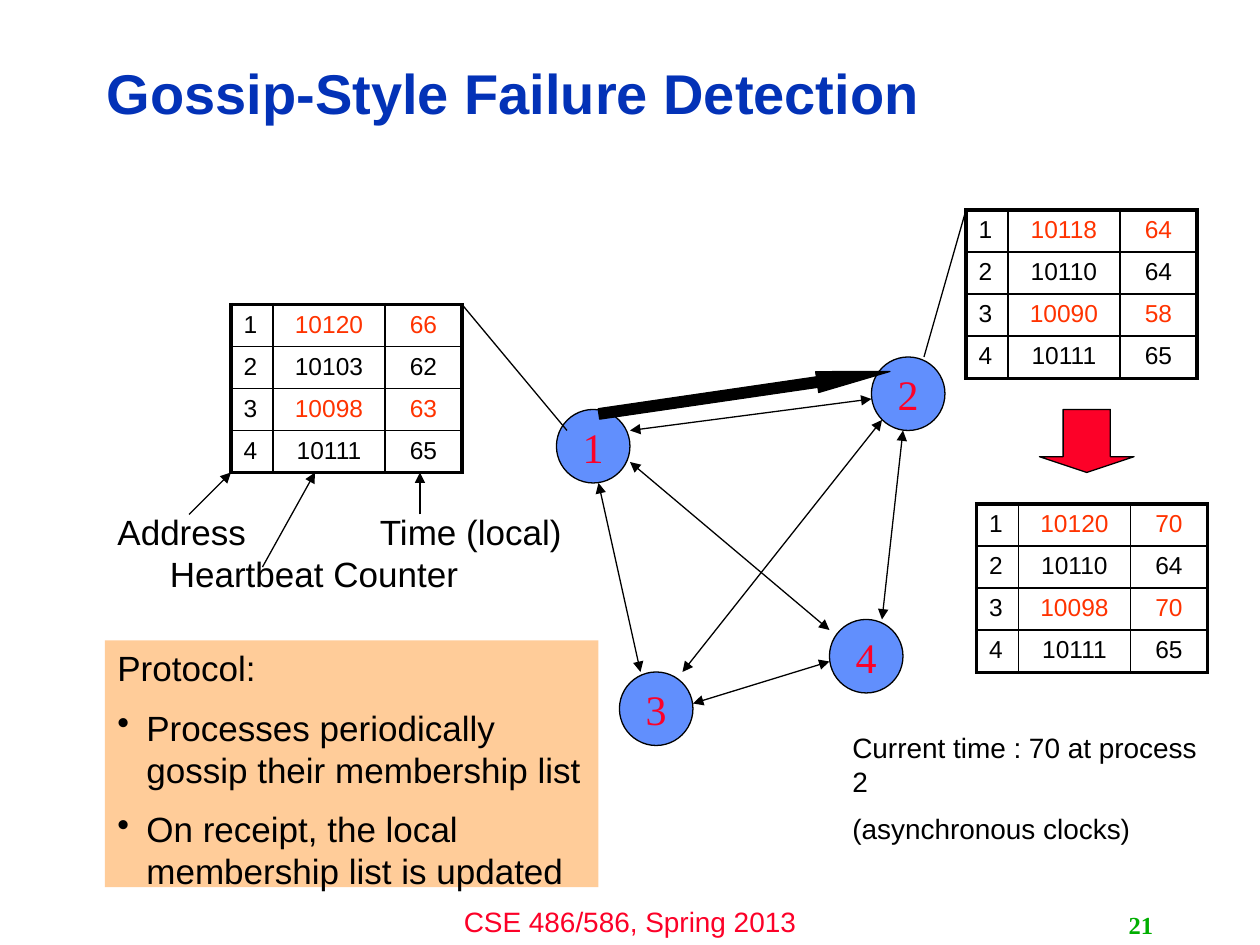
import pptx
import pptx.dml.color
import pptx.enum.shapes
import pptx.enum.text
import pptx.oxml
import pptx.oxml.ns
import pptx.util
import lxml.etree

RGBColor = pptx.dml.color.RGBColor
BLACK = RGBColor(0x00, 0x00, 0x00)
RED = RGBColor(0xFC, 0x01, 0x28)
ORANGE_RED = RGBColor(0xFF, 0x33, 0x00)
TITLE_BLUE = RGBColor(0x03, 0x32, 0xB7)
NODE_BLUE = RGBColor(0x61, 0x8F, 0xFD)
PEACH = RGBColor(0xFF, 0xCC, 0x99)
GREEN = RGBColor(0x00, 0xAE, 0x00)

SHAPES = pptx.enum.shapes.MSO_SHAPE
ALIGN = pptx.enum.text.PP_ALIGN
ANCHOR = pptx.enum.text.MSO_ANCHOR
SANS, SERIF = "Arial", "Times New Roman"

NODE_SIZE = 7
ROW_HEIGHT = 4
COLUMN_WIDTHS = (4, 10.67, 7.33)
NODES = {"1": (53, 39), "2": (83, 34), "4": (79, 59), "3": (59, 64)}
GOSSIP_LINKS = [
    ((60, 41), (83, 38)), ((57, 46), (61, 64)), ((66, 67), (79, 63)),
    ((84, 59), (86, 41)), ((65, 64), (84, 40)), ((79, 60), (60, 44)),
]
TABLE_LEADERS = [((54, 41), (44, 29)), ((88, 34), (92, 20))]
LABEL_POINTERS = [((18, 49), (22, 45)), ((25, 54), (30, 45)), ((40, 49), (40, 45))]
MEMBERSHIP_LISTS = [
    ((22, 29), [("10120", "66"), ("10103", "62"), ("10098", "63"), ("10111", "65")]),
    ((92, 20), [("10118", "64"), ("10110", "64"), ("10090", "58"), ("10111", "65")]),
    ((93, 48), [("10120", "70"), ("10110", "64"), ("10098", "70"), ("10111", "65")]),
]
COLUMN_LABELS = [
    ("Address", (10, 48, 16, 5.2)),
    ("Heartbeat Counter", (15, 52, 31, 5.2)),
    ("Time (local)", (35, 48, 21, 5.2)),
]


def grid(*steps):
    """Turn grid steps, twelve to the inch, into lengths."""
    return [pptx.util.Inches(step / 12) for step in steps]


def style(paragraph, size, color, font=SANS, bold=False, align=ALIGN.LEFT):
    """Set the font and alignment of a whole paragraph."""
    paragraph.alignment = align
    paragraph.font.name = font
    paragraph.font.size = pptx.util.Pt(size)
    paragraph.font.bold = bold
    paragraph.font.color.rgb = color


def write(frame, lines, size, color, anchor=ANCHOR.TOP, **look):
    """Fill a text frame, half a line's size apart between paragraphs."""
    frame.word_wrap = True
    frame.vertical_anchor = anchor
    for index, line in enumerate(lines):
        paragraph = frame.paragraphs[0] if index == 0 else frame.add_paragraph()
        paragraph.text = line
        style(paragraph, size, color, **look)
        if index:
            paragraph.space_before = pptx.util.Pt(size / 2)


def add_text(slide, box, lines, size, color, **look):
    """Add a text box and return its frame."""
    frame = slide.shapes.add_textbox(*grid(*box)).text_frame
    write(frame, lines, size, color, **look)
    return frame


def add_figure(slide, kind, box, fill, outlined=True):
    """Add a flat preset shape."""
    figure = slide.shapes.add_shape(kind, *grid(*box))
    figure.shadow.inherit = False
    figure.fill.solid()
    figure.fill.fore_color.rgb = fill
    if outlined:
        figure.line.color.rgb = BLACK
        figure.line.width = pptx.util.Pt(0.75)
    else:
        figure.line.fill.background()
    return figure


def add_line(slide, start, end, arrow_ends=()):
    """Add a thin line with triangles at the given ends."""
    line = slide.shapes.add_connector(
        pptx.enum.shapes.MSO_CONNECTOR.STRAIGHT, *grid(*start, *end))
    line.line.color.rgb = BLACK
    line.line.width = pptx.util.Pt(0.75)
    outline = line.line._get_or_add_ln()
    for arrow_end in arrow_ends:
        lxml.etree.SubElement(outline, pptx.oxml.ns.qn("a:" + arrow_end), type="triangle")
    lxml.etree.SubElement(line._element.spPr, pptx.oxml.ns.qn("a:effectLst"))


def add_node(slide, name, corner):
    """Add a numbered process circle."""
    node = add_figure(slide, SHAPES.OVAL, (*corner, NODE_SIZE, NODE_SIZE), NODE_BLUE)
    write(node.text_frame, [name], 24, RED, ANCHOR.MIDDLE, font=SERIF, align=ALIGN.CENTER)
    node.text_frame.word_wrap = False


def add_border(cell, side, points):
    """Draw one black cell border."""
    cell._tc.get_or_add_tcPr().append(pptx.oxml.parse_xml(
        f'<a:{side} {pptx.oxml.ns.nsdecls("a")} w="{int(points * 12700)}">'
        f'<a:solidFill><a:srgbClr val="{BLACK}"/></a:solidFill></a:{side}>'))


def add_membership_list(slide, corner, entries):
    """Add a list of address, heartbeat and time; odd addresses stand out."""
    last_row, last_column = len(entries) - 1, len(COLUMN_WIDTHS) - 1
    box = (*corner, sum(COLUMN_WIDTHS), ROW_HEIGHT * len(entries))
    table = slide.shapes.add_table(
        len(entries), len(COLUMN_WIDTHS), *grid(*box)).table
    table.first_row = table.horz_banding = False
    for column, width in zip(table.columns, grid(*COLUMN_WIDTHS)):
        column.width = width
    for r, entry in enumerate(entries):
        for c, value in enumerate((str(r + 1), *entry)):
            cell = table.cell(r, c)
            cell.text = value
            style(cell.text_frame.paragraphs[0], 14,
                  ORANGE_RED if c and r % 2 == 0 else BLACK,
                  align=ALIGN.CENTER if c else ALIGN.LEFT)
            outer = {"lnL": c == 0, "lnR": c == last_column,
                     "lnT": r == 0, "lnB": r == last_row}
            for side, is_outer in outer.items():
                add_border(cell, side, 2.25 if is_outer else 1)
            cell.fill.background()


def add_protocol(slide):
    """Add the protocol panel with its two bullets."""
    panel = add_figure(slide, SHAPES.RECTANGLE, (10, 61, 47, 23.5), PEACH, outlined=False)
    write(panel.text_frame, [
        "Protocol:",
        "Processes periodically gossip their membership list",
        "On receipt, the local membership list is updated",
    ], 20, BLACK)
    indent = pptx.util.Inches(0.23)
    for step in panel.text_frame.paragraphs[1:]:
        properties = step._p.get_or_add_pPr()
        properties.set("marL", str(indent))
        properties.set("indent", str(-indent))
        bullet = pptx.oxml.ns.qn("a:buChar")
        lxml.etree.SubElement(properties, bullet, char="•")
        properties.insert_element_before(properties.find(bullet), "a:defRPr")


def main():
    """Build the slide."""
    deck = pptx.Presentation()
    deck.slide_width, deck.slide_height = grid(120, 90)
    slide = deck.slides.add_slide(deck.slide_layouts[6])

    add_text(slide, (40, 85.6, 40, 4.4), ["CSE 486/586, Spring 2013"], 16, RED,
             align=ALIGN.CENTER)
    title = add_text(slide, (9, 4.3, 95.8, 9.7), ["Gossip-Style Failure Detection"], 32,
                     TITLE_BLUE, anchor=ANCHOR.MIDDLE, bold=True)
    title.paragraphs[0].line_spacing = 0.9
    add_text(slide, (86, 86.2, 25, 3.8), ["21"], 14, GREEN, anchor=ANCHOR.MIDDLE,
             font=SERIF, bold=True, align=ALIGN.RIGHT)

    for name, corner in NODES.items():
        add_node(slide, name, corner)
    for start, end in GOSSIP_LINKS:
        add_line(slide, start, end, ("headEnd", "tailEnd"))
    gossip = add_figure(slide, SHAPES.RIGHT_ARROW, (56.9, 36.4, 28, 2), BLACK)
    gossip.adjustments[1] = 3.5
    gossip.rotation = 351.7

    add_protocol(slide)
    for corner, entries in MEMBERSHIP_LISTS:
        add_membership_list(slide, corner, entries)
    for start, end in TABLE_LEADERS:
        add_line(slide, start, end)
    update = add_figure(slide, SHAPES.DOWN_ARROW, (99, 39, 9, 6), RED)
    update.adjustments[1] = 0.25
    add_text(slide, (80, 69, 36, 11.5),
             ["Current time : 70 at process 2", "(asynchronous clocks)"], 16, BLACK)

    for label, box in COLUMN_LABELS:
        add_text(slide, box, [label], 20, BLACK)
    for start, end in LABEL_POINTERS:
        add_line(slide, start, end, ("tailEnd",))
    deck.save("out.pptx")


main()
